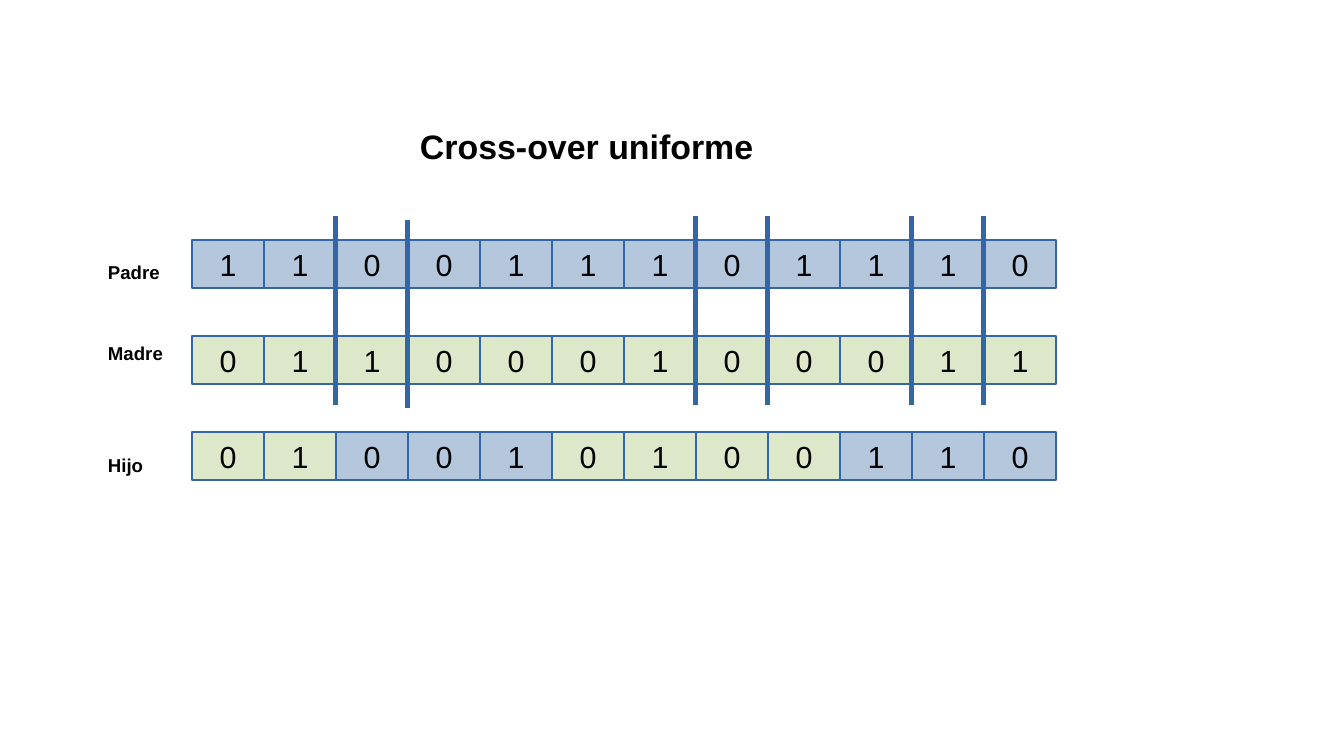
import pptx
import pptx.util
import pptx.dml.color
import pptx.enum.shapes
import pptx.enum.text
import lxml.etree

Pt = pptx.util.Pt
ALIGN = pptx.enum.text.PP_ALIGN
ANCHOR = pptx.enum.text.MSO_ANCHOR
COLORS = {"padre": "B4C7DC", "madre": "DDE8CB", "line": "3465A4", "text": "000000"}
FONT = "Arial"
CELL_WIDTH = 42.52
CELL_HEIGHT = 28.35
ROW_PITCH = 56.69
LABEL_WIDTH = 56.69
GENES = 12

CHROMOSOMES = [
    ("Padre", "110011101110", "P" * GENES, 8.6, 56.69),
    ("Madre", "011000100011", "M" * GENES, 0, 56.69),
    ("Hijo", "010010100110", "MMPPPMMMMPPP", 9.2, 42.52),
]
CUTS = [(2, 0), (3, 2.3), (7, 0), (8, 0), (10, 0), (11, 0)]


def color(name):
    return pptx.dml.color.RGBColor.from_string(COLORS[name])


def write(shape, text, size, bold, align, anchor, inset):
    frame = shape.text_frame
    frame.word_wrap = True
    frame.vertical_anchor = anchor
    frame.margin_left = frame.margin_right = Pt(inset[0])
    frame.margin_top = frame.margin_bottom = Pt(inset[1])
    para = frame.paragraphs[0]
    para.alignment = align
    span = para.add_run()
    span.text = text
    span.font.name = FONT
    span.font.size = Pt(size)
    span.font.bold = bold
    span.font.color.rgb = color("text")


def add_heading(page, box, text, size):
    heading = page.shapes.add_textbox(*map(Pt, box))
    write(heading, text, size, True, ALIGN.LEFT, ANCHOR.TOP, (7.2, 3.6))


def add_gene(page, box, bit, parent):
    gene = page.shapes.add_shape(pptx.enum.shapes.MSO_SHAPE.RECTANGLE, *map(Pt, box))
    gene.shadow.inherit = False
    gene.fill.solid()
    gene.fill.fore_color.rgb = color(parent)
    gene.line.color.rgb = color("line")
    gene.line.width = Pt(1.5)
    write(gene, bit, 18, False, ALIGN.CENTER, ANCHOR.MIDDLE, (7.9, 4.3))


def add_chromosome(page, box, label, bits, parents, label_drop, label_width):
    left, top, width, height = box
    add_heading(page, (left, top + label_drop, label_width, 19.4), label, 11)
    gene_width = (width - LABEL_WIDTH) / GENES
    for index, (bit, parent) in enumerate(zip(bits, parents)):
        gene_left = left + LABEL_WIDTH + index * gene_width
        add_gene(page, (gene_left, top, gene_width, height), bit,
                 "padre" if parent == "P" else "madre")


def add_cuts(page, box):
    left, top, width, height = box
    for index, drop in CUTS:
        x = left + index * width / GENES
        cut = page.shapes.add_connector(
            pptx.enum.shapes.MSO_CONNECTOR.STRAIGHT,
            Pt(x), Pt(top + drop), Pt(x), Pt(top + drop + height))
        cut.line.color.rgb = color("line")
        cut.line.width = Pt(3)
        properties = cut._element.spPr
        lxml.etree.SubElement(properties, pptx.oxml.ns.qn("a:effectLst"))


def add_crossover(page, box):
    left, top, width, height = box
    for index, chromosome in enumerate(CHROMOSOMES):
        add_chromosome(page, (left, top + index * ROW_PITCH, width, CELL_HEIGHT), *chromosome)
    add_cuts(page, (left + LABEL_WIDTH, top - 14.2, width - LABEL_WIDTH, height - 2))


def main():
    deck = pptx.Presentation()
    deck.slide_width = Pt(793.7)
    deck.slide_height = Pt(446.46)
    page = deck.slides.add_slide(deck.slide_layouts[6])
    add_heading(page, (240.95, 70.87, 240.95, 29.5), "Cross-over uniforme", 20)
    add_crossover(page, (56.69, 141.73, LABEL_WIDTH + GENES * CELL_WIDTH, 2 * ROW_PITCH))
    deck.save("out.pptx")


if __name__ == "__main__":
    main()
